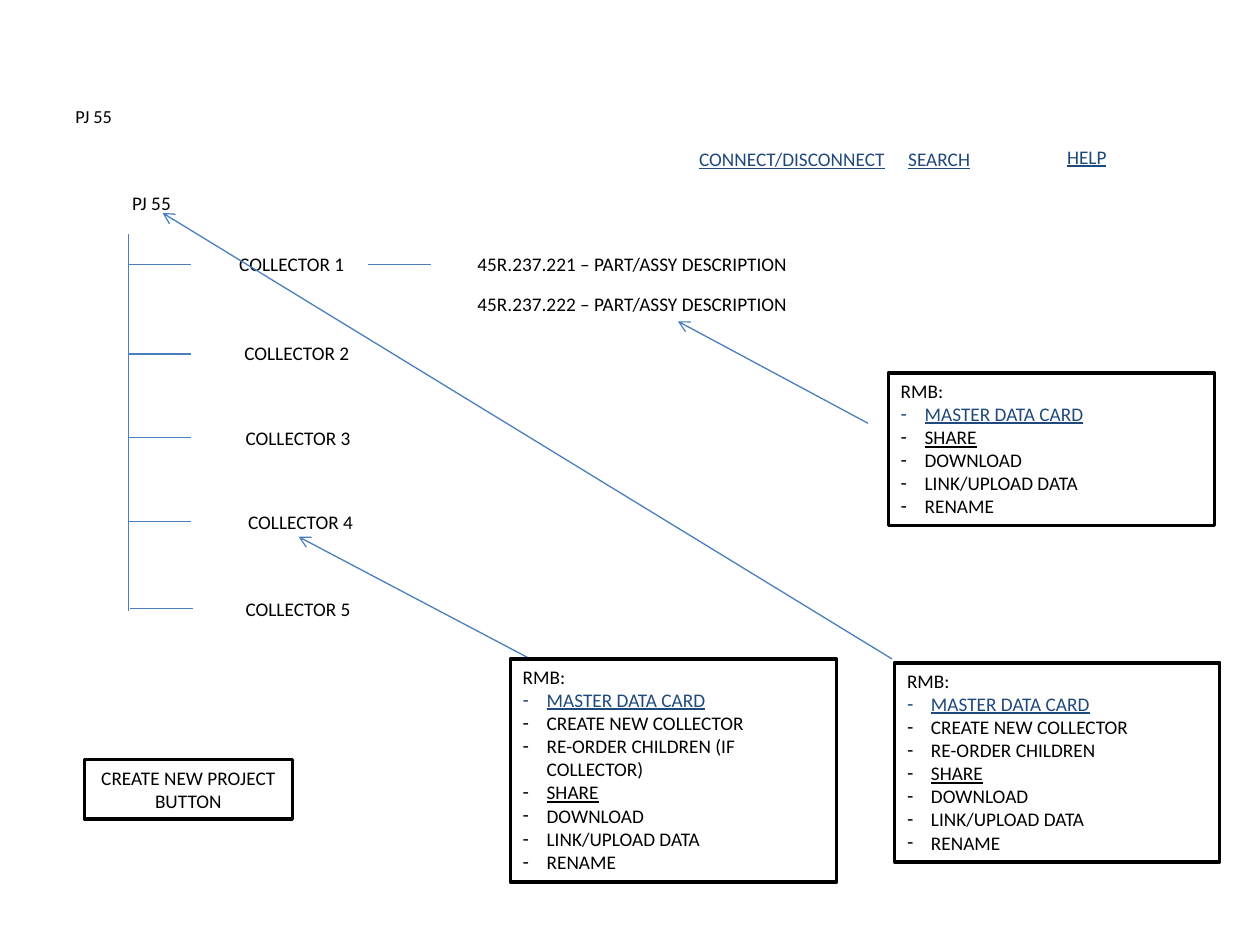
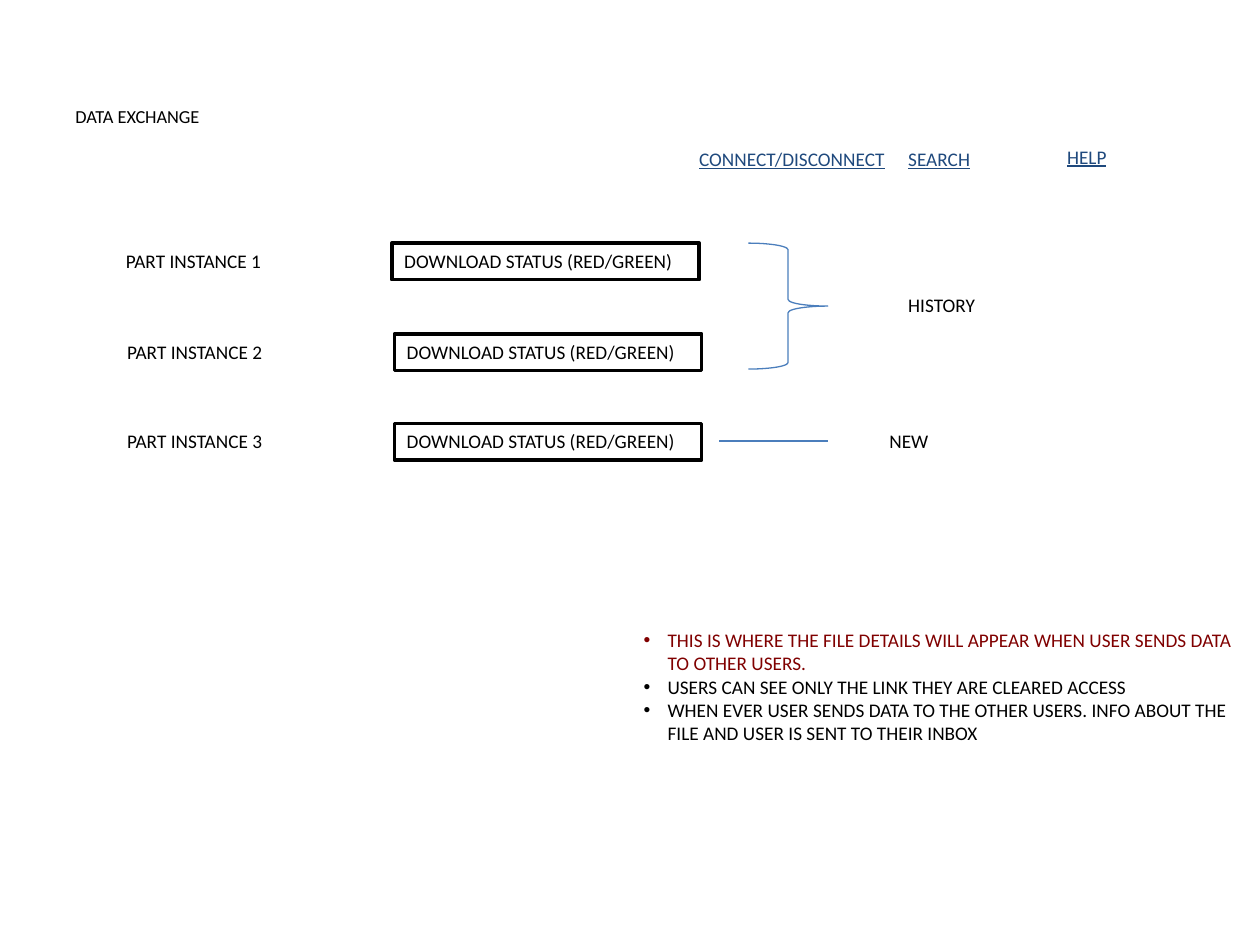
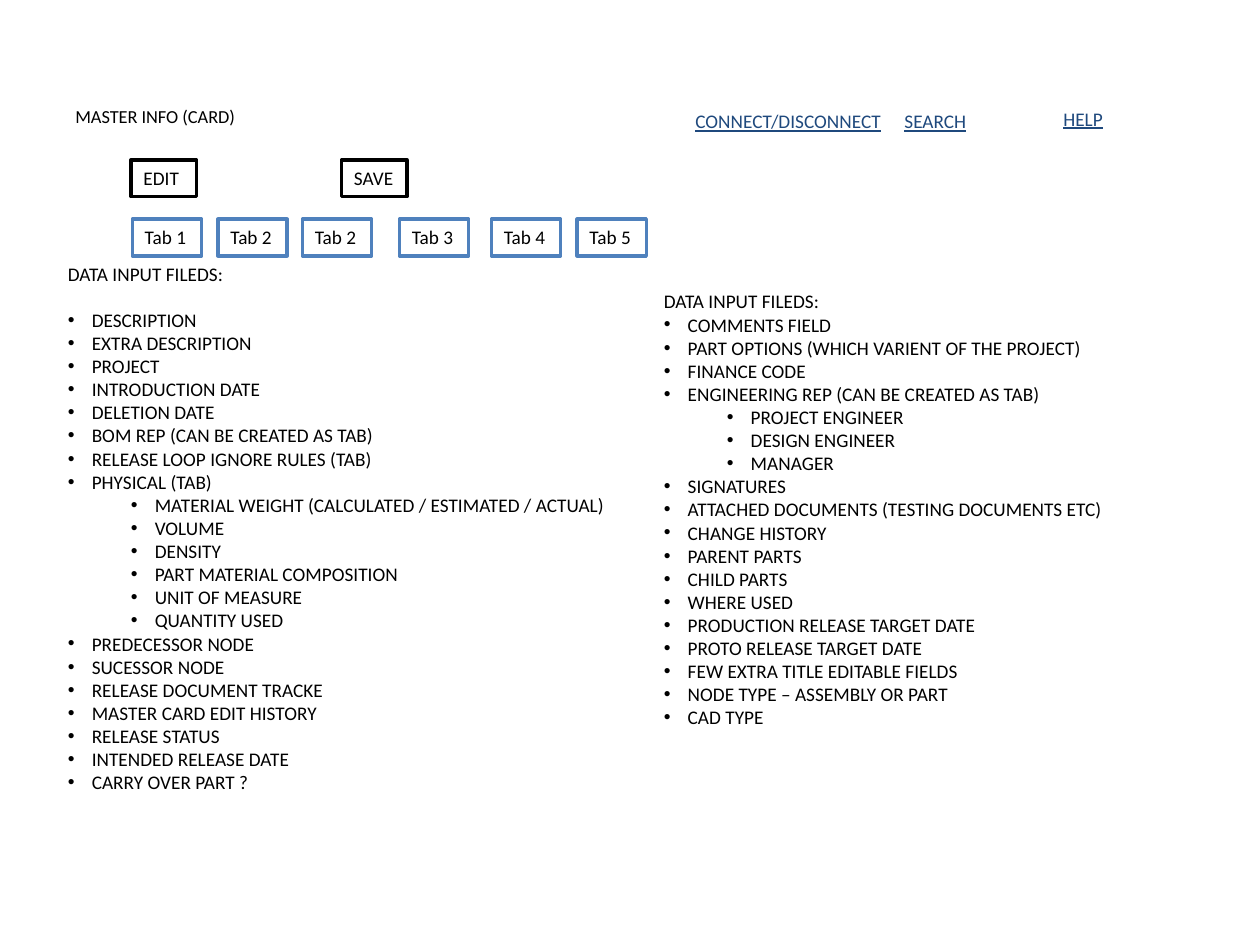
"""Build three wireframe slides for a parts data tool."""
from dataclasses import dataclass

from lxml import etree
from pptx import Presentation
from pptx.dml.color import RGBColor
from pptx.enum.shapes import MSO_CONNECTOR, MSO_SHAPE
from pptx.enum.text import MSO_ANCHOR, MSO_AUTO_SIZE, PP_ALIGN
from pptx.oxml.ns import qn
from pptx.shapes.autoshape import Shape
from pptx.slide import Slide
from pptx.util import Inches, Pt

RECT, BRACE = MSO_SHAPE.RECTANGLE, MSO_SHAPE.RIGHT_BRACE
STRAIGHT = MSO_CONNECTOR.STRAIGHT
TOP, MIDDLE = MSO_ANCHOR.TOP, MSO_ANCHOR.MIDDLE
LEFT, CENTER = PP_ALIGN.LEFT, PP_ALIGN.CENTER
GROW, FIXED = MSO_AUTO_SIZE.SHAPE_TO_FIT_TEXT, MSO_AUTO_SIZE.NONE

FONT, SIZE, ROW = "Calibri", 11, 0.29
BLACK, WHITE, NAVY, RED = "000000", "FFFFFF", "1F497D", "800000"
BLUE, EDGE = "4B7EBC", "4F81BD"
DASH, DOT = "-", "\u2022"
HANG, STEP = 0.19, 0.5


@dataclass(frozen=True)
class Item:
    """One paragraph of a text."""
    text: str
    mark: str = ""
    level: int = 0
    color: str = BLACK
    under: bool = False
    before: float = 0


@dataclass(frozen=True)
class Area:
    """A place on the slide in inches."""
    left: float
    top: float
    width: float
    height: float = ROW

    def lengths(self) -> list[Inches]:
        """Return the four measures as lengths."""
        return [Inches(n) for n in (self.left, self.top, self.width, self.height)]


def paint(code: str) -> RGBColor:
    """Turn a hex string into a colour."""
    return RGBColor.from_string(code)


def write(shape: Shape, items: list[Item], wrap: bool = False, size: float = SIZE,
          align: int = LEFT, anchor: int = TOP, fit: int = GROW) -> None:
    """Fill a shape with paragraphs."""
    frame = shape.text_frame
    frame.word_wrap = wrap
    frame.auto_size = fit
    frame.vertical_anchor = anchor
    for num, item in enumerate(items):
        para = frame.add_paragraph() if num else frame.paragraphs[0]
        para.alignment = align
        para.level = item.level
        if item.before:
            para.space_before = Pt(item.before)
        if item.mark:
            props = para._p.get_or_add_pPr()
            props.set("marL", str(Inches(HANG + STEP * item.level)))
            props.set("indent", str(-Inches(HANG)))
            etree.SubElement(props, qn("a:buFont")).set("typeface", "Arial")
            etree.SubElement(props, qn("a:buChar")).set("char", item.mark)
        run = para.add_run()
        run.text = item.text
        font = run.font
        font.name, font.size = FONT, Pt(size)
        font.color.rgb = paint(item.color)
        font.underline = item.under


def label(slide: Slide, area: Area, *items: Item, wrap: bool = False) -> None:
    """Place plain text."""
    write(slide.shapes.add_textbox(*area.lengths()), list(items), wrap)


def box(slide: Slide, area: Area, *items: Item, edge: str = BLACK,
        wrap: bool = True, align: int = LEFT) -> None:
    """Draw a white framed box with text."""
    shape = slide.shapes.add_shape(RECT, *area.lengths())
    shape.shadow.inherit = False
    shape.fill.solid()
    shape.fill.fore_color.rgb = paint(WHITE)
    shape.line.color.rgb = paint(edge)
    shape.line.width = Pt(2)
    write(shape, list(items), wrap, align=align)


def brace(slide: Slide, area: Area) -> None:
    """Draw a right brace."""
    shape = slide.shapes.add_shape(BRACE, *area.lengths())
    shape.shadow.inherit = False
    shape.fill.background()
    shape.line.color.rgb = paint(BLUE)
    shape.line.width = Pt(0.75)


def link(slide: Slide, x1: float, y1: float, x2: float, y2: float,
         arrow: bool = False) -> None:
    """Draw a thin line, with an arrowhead at its end if asked."""
    line = slide.shapes.add_connector(STRAIGHT, *(Inches(n) for n in (x1, y1, x2, y2)))
    line.line.color.rgb = paint(BLUE)
    line.line.width = Pt(0.75)
    if arrow:
        etree.SubElement(line.line._get_or_add_ln(), qn("a:tailEnd")).set("type", "arrow")
    etree.SubElement(line._element.spPr, qn("a:effectLst"))


def header(slide: Slide, title: str, width: float, dx: float = 0, dy: float = 0) -> None:
    """Write the title and the menu links."""
    shape = slide.shapes.add_textbox(*Area(0.5, 0.3, width, 1.25).lengths())
    write(shape, [Item(title)], True, 10.5, anchor=MIDDLE, fit=FIXED)
    for text, left, top, span in (("SEARCH", 7.11, 1.12, 0.7), ("HELP", 8.37, 1.1, 0.52),
                                  ("CONNECT/DISCONNECT", 5.45, 1.12, 1.7)):
        label(slide, Area(left + dx, top + dy, span), Item(text, color=NAVY, under=True))


def menu(slide: Slide, area: Area, *extra: str) -> None:
    """Draw a right mouse button menu."""
    box(slide, area, Item("RMB:"), Item("MASTER DATA CARD", DASH, color=NAVY, under=True),
        *(Item(text, DASH) for text in extra), Item("SHARE", DASH, under=True),
        *(Item(text, DASH) for text in ("DOWNLOAD", "LINK/UPLOAD DATA", "RENAME")))


def fields(slide: Slide, area: Area, gap: float, *groups: tuple[int, str]) -> None:
    """List input fields, given as levels with names split by bars."""
    items = [Item(text, DOT, level) for level, names in groups for text in names.split("|")]
    items[0] = Item(items[0].text, DOT, before=gap)
    label(slide, area, Item("DATA INPUT FILEDS:"), *items)


def project(slide: Slide) -> None:
    """Build the project tree."""
    link(slide, 1.02, 1.86, 1.02, 4.85)
    label(slide, Area(0.95, 1.47, 0.52), Item("PJ 55"))
    rows = ((1.02, 2.1, 1.8, 1.95), (1.02, 2.81, 1.84, 2.66), (1.02, 3.47, 1.85, 3.33),
            (1.02, 4.14, 1.87, 4), (1.03, 4.83, 1.85, 4.69))
    for num, (start, level, left, top) in enumerate(rows, 1):
        link(slide, start, level, start + 0.5, level)
        label(slide, Area(left, top, 1.05), Item(f"COLLECTOR {num}"))
    link(slide, 2.92, 2.1, 3.42, 2.1)
    for num, top in ((221, 1.95), (222, 2.27)):
        label(slide, Area(3.69, top, 2.71), Item(f"45R.237.{num} \u2013 PART/ASSY DESCRIPTION"))
    header(slide, "PJ 55", 0.96)
    for ends in ((6.89, 3.36, 5.38, 2.55), (7.08, 5.23, 1.29, 1.69), (4.21, 5.23, 2.37, 4.26)):
        link(slide, *ends, arrow=True)
    menu(slide, Area(7.05, 2.96, 2.59, 1.21))
    menu(slide, Area(7.1, 5.26, 2.58, 1.58), "CREATE NEW COLLECTOR", "RE-ORDER CHILDREN")
    menu(slide, Area(4.05, 5.23, 2.59, 1.77), "CREATE NEW COLLECTOR",
         "RE-ORDER CHILDREN (IF COLLECTOR)")
    box(slide, Area(0.67, 6.03, 1.65, 0.47), Item("CREATE NEW PROJECT BUTTON"), align=CENTER)


def exchange(slide: Slide) -> None:
    """Build the data exchange page."""
    header(slide, "DATA EXCHANGE", 1.71)
    rows = ((0.9, 3.11, 1.93), (0.91, 3.13, 2.65), (0.91, 3.13, 3.36))
    for num, (left, mid, top) in enumerate(rows, 1):
        label(slide, Area(left, top, 1.31), Item(f"PART INSTANCE {num}"))
        box(slide, Area(mid, top, 2.44), Item("DOWNLOAD STATUS (RED/GREEN)"))
    brace(slide, Area(5.94, 1.93, 0.63, 1))
    label(slide, Area(7.11, 2.28, 0.74), Item("HISTORY"))
    link(slide, 5.71, 3.5, 6.57, 3.5)
    label(slide, Area(6.96, 3.36, 0.51), Item("NEW"))
    label(slide, Area(5.01, 4.94, 5, 1.03),
          Item("THIS IS WHERE THE FILE DETAILS\u00a0WILL APPEAR WHEN USER SENDS DATA "
               "TO OTHER USERS.", DOT, color=RED),
          Item("USERS CAN SEE ONLY THE LINK THEY ARE CLEARED ACCESS", DOT),
          Item("WHEN EVER USER SENDS DATA TO THE OTHER USERS. INFO ABOUT THE "
               "FILE AND USER IS SENT TO THEIR INBOX", DOT), wrap=True)


def card(slide: Slide) -> None:
    """Build the master card page."""
    header(slide, "MASTER INFO (CARD)", 1.61, -0.03, -0.3)
    for text, left in (("EDIT ", 1.04), ("SAVE", 2.71)):
        box(slide, Area(left, 1.27, 0.52), Item(text), wrap=False)
    for num, left in ((1, 1.05), (2, 1.73), (2, 2.4), (3, 3.17), (4, 3.9), (5, 4.58)):
        box(slide, Area(left, 1.74, 0.55), Item(f"Tab {num}"), edge=EDGE, wrap=False)
    fields(slide, Area(0.44, 2.03, 4.53, 4.36), 13.2,
           (0, "DESCRIPTION|EXTRA DESCRIPTION|PROJECT|INTRODUCTION DATE|DELETION DATE|"
               "BOM REP (CAN BE CREATED AS TAB)|RELEASE LOOP IGNORE RULES (TAB)|PHYSICAL (TAB)"),
           (1, "MATERIAL WEIGHT (CALCULATED / ESTIMATED / ACTUAL)|VOLUME|DENSITY|"
               "PART MATERIAL COMPOSITION|UNIT OF MEASURE|QUANTITY USED"),
           (0, "PREDECESSOR NODE|SUCESSOR NODE|RELEASE DOCUMENT TRACKE|"
               "MASTER CARD EDIT HISTORY|RELEASE STATUS|INTENDED RELEASE DATE|"
               "CARRY OVER PART ?"))
    fields(slide, Area(5.17, 2.25, 3.76, 4.17), 0,
           (0, "COMMENTS FIELD|PART OPTIONS (WHICH VARIENT OF THE PROJECT)|FINANCE CODE|"
               "ENGINEERING REP (CAN BE CREATED AS TAB)"),
           (1, "PROJECT ENGINEER|DESIGN ENGINEER|MANAGER"),
           (0, "SIGNATURES|ATTACHED DOCUMENTS (TESTING DOCUMENTS ETC)|CHANGE HISTORY|"
               "PARENT PARTS|CHILD PARTS|WHERE USED|PRODUCTION RELEASE TARGET DATE|"
               "PROTO RELEASE TARGET DATE|FEW EXTRA TITLE EDITABLE FIELDS|"
               "NODE TYPE \u2013 ASSEMBLY OR PART|CAD TYPE"))


def main() -> None:
    """Build and save the deck."""
    deck = Presentation()
    deck.slide_width, deck.slide_height = Inches(10), Inches(7.5)
    for build in (project, exchange, card):
        build(deck.slides.add_slide(deck.slide_layouts[6]))
    deck.save("out.pptx")


main()
